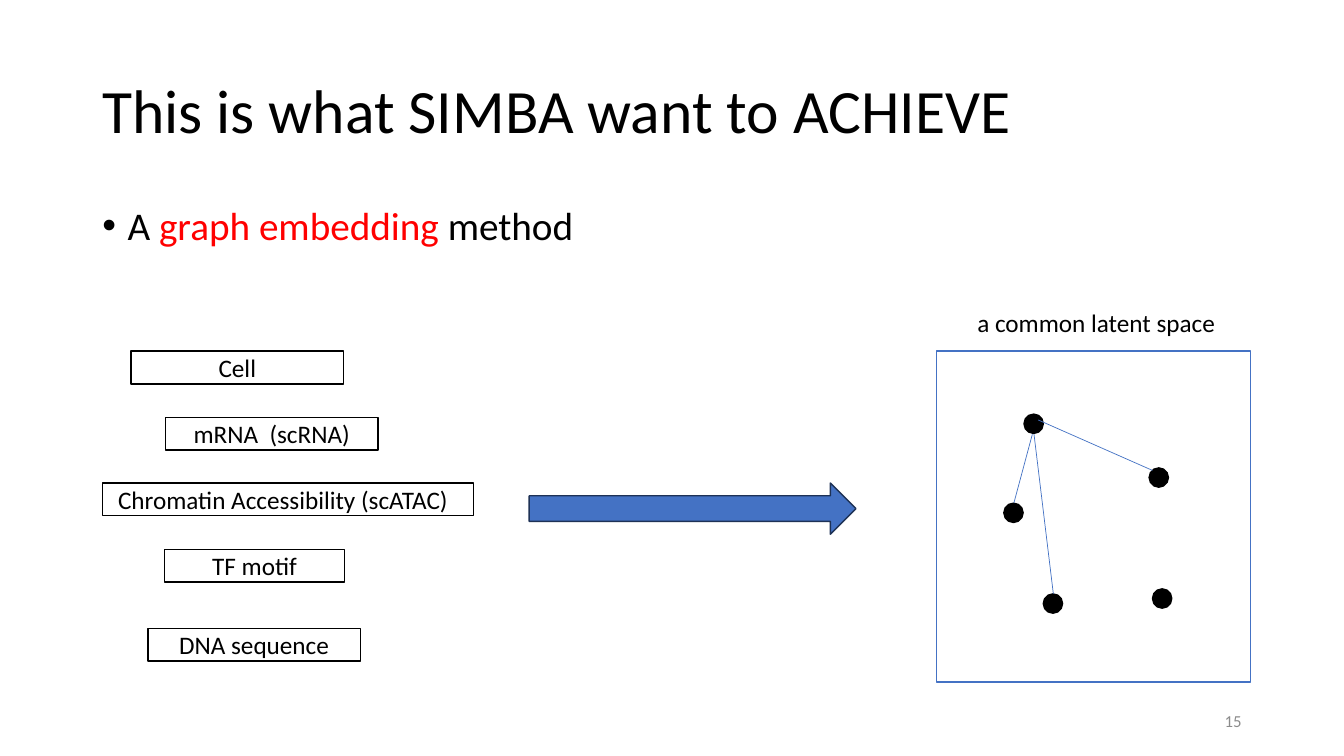
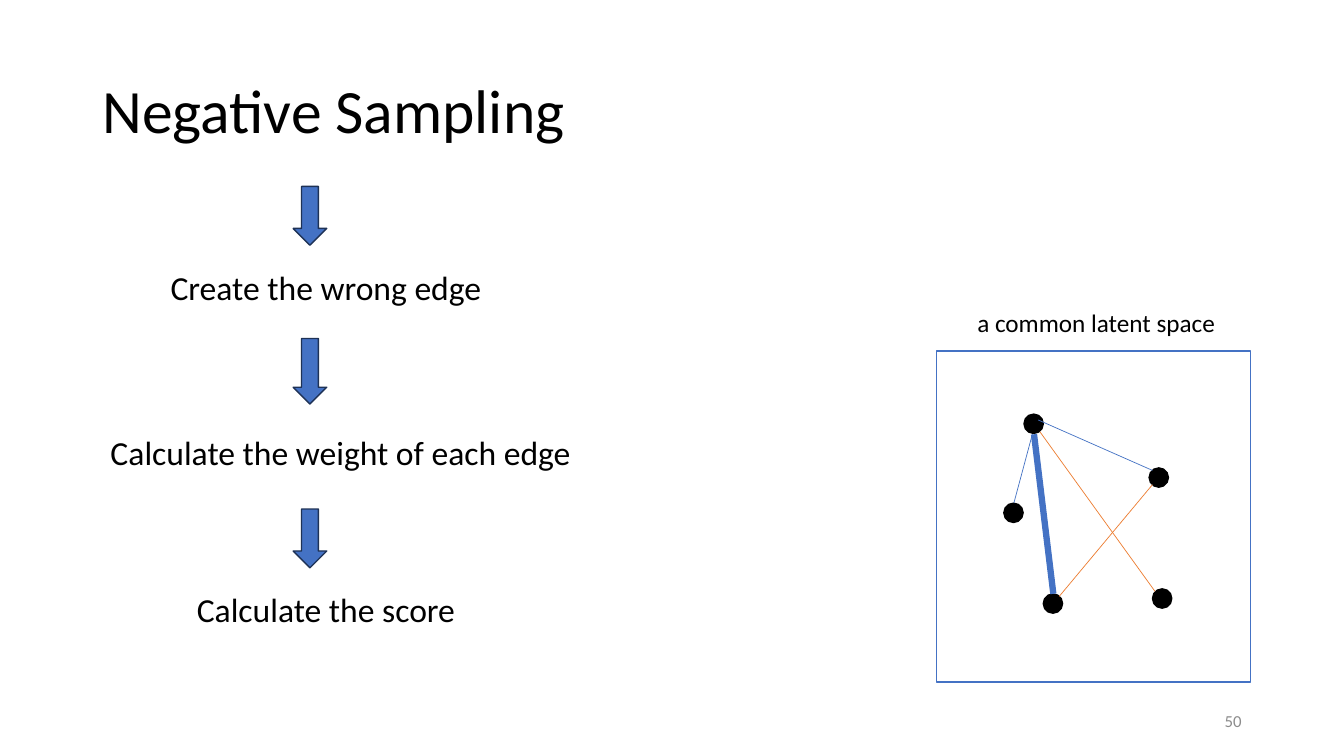
"""Build two slides on graph embedding and negative sampling."""
from lxml import etree
from pptx import Presentation
from pptx.dml.color import RGBColor
from pptx.enum.shapes import MSO_CONNECTOR, MSO_SHAPE
from pptx.enum.text import MSO_ANCHOR, PP_ALIGN
from pptx.oxml.ns import qn
from pptx.util import Inches, Pt

RECTANGLE = MSO_SHAPE.RECTANGLE
ROUNDED = MSO_SHAPE.ROUNDED_RECTANGLE
ELLIPSE = MSO_SHAPE.OVAL
RIGHT_ARROW = MSO_SHAPE.RIGHT_ARROW
DOWN_ARROW = MSO_SHAPE.DOWN_ARROW
STRAIGHT = MSO_CONNECTOR.STRAIGHT
TOP, MIDDLE = MSO_ANCHOR.TOP, MSO_ANCHOR.MIDDLE
LEFT, CENTER, RIGHT = PP_ALIGN.LEFT, PP_ALIGN.CENTER, PP_ALIGN.RIGHT

BLACK = RGBColor(0x00, 0x00, 0x00)
WHITE = RGBColor(0xFF, 0xFF, 0xFF)
RED = RGBColor(0xFF, 0x00, 0x00)
BLUE = RGBColor(0x44, 0x72, 0xC4)
NAVY = RGBColor(0x1E, 0x32, 0x56)
ORANGE = RGBColor(0xED, 0x7D, 0x31)
GRAY = RGBColor(0x8C, 0x8C, 0x8C)

FONT = "Calibri"
COLUMNS, ROWS = 160, 90
LABEL_HEIGHT = 3.9
DOT_SIZE = 2.3
DOTS = [(121.9, 49.3), (119.5, 59.9), (124.2, 70.7), (136.8, 55.7), (137.2, 70.1)]
TRUE_EDGES = [(122.9, 51.7, 120.7, 59.9), (123.6, 50, 137.2, 56)]
STRONG_EDGE = (123.1, 51.7, 125.4, 70.7)
WRONG_EDGES = [(137.2, 57.7, 126.1, 71), (123.8, 51.4, 137.5, 70.4)]


class Painter:
    """Hold the style and the current slide."""

    def __init__(self):
        self.deck = Presentation()
        self.deck.slide_width = Inches(13.333)
        self.deck.slide_height = Inches(7.5)
        self.page = None

    def place(self, *lengths):
        """Turn alternating columns and rows into slide lengths."""
        units = (self.deck.slide_width / COLUMNS, self.deck.slide_height / ROWS)
        return [round(length * units[index % 2]) for index, length in enumerate(lengths)]

    def start(self, title, number):
        """Open a slide with its title and number."""
        self.page = self.deck.slides.add_slide(self.deck.slide_layouts[6])
        self.text((11, 4.8, 138, 17.4), [(title, BLACK)], 44, spacing=0.9)
        self.text((113, 83.4, 36, 4.8), [(str(number), GRAY)], 12, RIGHT)

    def fill_text(self, shape, spans, size, align, anchor=MIDDLE, spacing=None, bullet=False):
        """Fill a shape with one paragraph, run by run."""
        frame = shape.text_frame
        frame.word_wrap = True
        frame.vertical_anchor = anchor
        para = frame.paragraphs[0]
        if bullet:
            properties = para._p.get_or_add_pPr()
            properties.set("marL", str(Inches(0.25)))
            properties.set("indent", str(-Inches(0.25)))
            etree.SubElement(properties, qn("a:buFont")).set("typeface", "Arial")
            etree.SubElement(properties, qn("a:buChar")).set("char", "•")
        para.alignment = align
        if spacing:
            para.line_spacing = spacing
        for words, color in spans:
            span = para.add_run()
            span.text = words
            span.font.name = FONT
            span.font.size = Pt(size)
            span.font.color.rgb = color

    def text(self, area, spans, size, align=LEFT, **options):
        """Add a text box."""
        box = self.page.shapes.add_textbox(*self.place(*area))
        self.fill_text(box, spans, size, align, **options)

    def shape(self, kind, area, fill, line):
        """Add a preset shape, unfilled when fill is None."""
        shape = self.page.shapes.add_shape(kind, *self.place(*area))
        shape.shadow.inherit = False
        if fill is None:
            shape.fill.background()
        else:
            shape.fill.solid()
            shape.fill.fore_color.rgb = fill
        shape.line.color.rgb = line
        shape.line.width = Pt(1)
        return shape

    def label(self, left, top, width, words):
        """Add an outlined label."""
        box = self.shape(RECTANGLE, (left, top, width, LABEL_HEIGHT), None, BLACK)
        self.fill_text(box, [(words, BLACK)], 18, CENTER)
        return box

    def step(self, left, top, width, words):
        """Add one step of the procedure."""
        box = self.shape(ROUNDED, (left, top, width, 4.3), WHITE, WHITE)
        self.fill_text(box, [(words, BLACK)], 24, CENTER)

    def arrow(self, kind, *area):
        """Add a block arrow."""
        self.shape(kind, area, BLUE, NAVY)

    def edge(self, ends, color=BLUE, width=0.5):
        """Add a straight graph edge."""
        line = self.page.shapes.add_connector(STRAIGHT, *self.place(*ends))
        line.line.color.rgb = color
        line.line.width = Pt(width)
        etree.SubElement(line._element.spPr, qn("a:effectLst"))

    def latent_space(self, strong_width=0.5):
        """Add the framed graph with its caption."""
        self.shape(RECTANGLE, (111.5, 41.8, 37.4, 39.4), WHITE, BLUE)
        self.text((112.4, 36.4, 36.2, LABEL_HEIGHT),
                  [("a common latent space", BLACK)], 18, CENTER)
        for left, top in DOTS:
            self.shape(ELLIPSE, (left, top, DOT_SIZE, DOT_SIZE), BLACK, BLACK)
        for ends in TRUE_EDGES:
            self.edge(ends)
        self.edge(STRONG_EDGE, width=strong_width)


def draw_goal(painter):
    """Draw the goal of the method."""
    painter.start("This is what SIMBA want to ACHIEVE", 15)
    painter.text((11, 24, 138, 57.1),
                 [("A ", BLACK), ("graph embedding ", RED), ("method", BLACK)],
                 28, anchor=TOP, spacing=0.9, bullet=True)
    painter.label(15.6, 41.8, 25.3, "Cell")
    painter.label(19.7, 49.7, 25.3, "mRNA  (scRNA)")
    chromatin = painter.label(12.2, 57.5, 44.2, "Chromatin Accessibility (scATAC)")
    chromatin.text_frame.margin_right = Inches(0.2)
    painter.label(19.6, 65.4, 21.4, "TF motif")
    painter.label(17.6, 74.8, 25.3, "DNA sequence")
    painter.arrow(RIGHT_ARROW, 63, 57.5, 38.9, 6.1)
    painter.latent_space()


def draw_sampling(painter):
    """Draw the steps of negative sampling."""
    painter.start("Negative Sampling", 50)
    painter.latent_space(strong_width=4.5)
    for ends in WRONG_EDGES:
        painter.edge(ends, ORANGE)
    for top, height in [(22.2, 7), (40.3, 7.8), (60.6, 7)]:
        painter.arrow(DOWN_ARROW, 34.9, top, 4, height)
    painter.step(18, 32, 41.6, "Create the wrong edge")
    painter.step(6, 51.7, 69.1, "Calculate the weight of each edge")
    painter.step(18, 70.4, 41.6, "Calculate the score")


def main():
    """Build and save the deck."""
    painter = Painter()
    draw_goal(painter)
    draw_sampling(painter)
    painter.deck.save("out.pptx")


if __name__ == "__main__":
    main()
